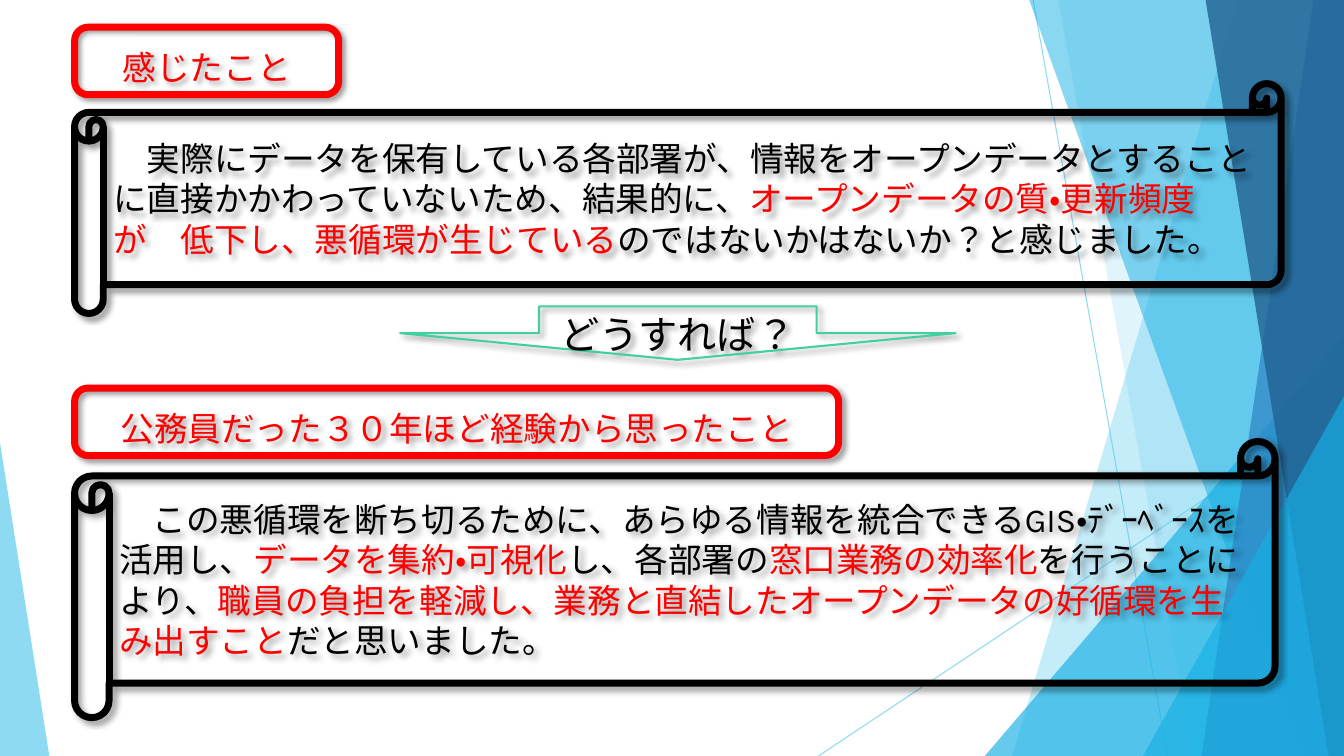
from dataclasses import dataclass
from itertools import cycle

from lxml.etree import SubElement
from pptx import Presentation
from pptx.dml.color import RGBColor
from pptx.enum.lang import MSO_LANGUAGE_ID
from pptx.enum.shapes import MSO_CONNECTOR, MSO_SHAPE
from pptx.enum.text import MSO_ANCHOR, PP_ALIGN
from pptx.oxml.ns import qn
from pptx.slide import Slide
from pptx.util import Emu, Inches, Pt

COLS, ROWS = 160, 90
WIDTH, HEIGHT = Inches(13.33), Inches(7.5)


@dataclass(frozen=True)
class Theme:
    sky: str = "5FCBEF"
    azure: str = "17B0E4"
    blue: str = "2E83C3"
    navy: str = "226292"
    mint: str = "42D0A2"
    ink: str = "000000"
    accent: str = "FF0000"
    text_font: str = "Karla"
    label_font: str = "Arial"
    text_size: int = 24
    arrow_size: int = 28
    hairline: float = 0.75
    thin: float = 1.5
    thick: float = 5


THEME = Theme()


@dataclass(frozen=True)
class Box:
    left: float
    top: float
    width: float
    height: float


@dataclass(frozen=True)
class Ray:
    x1: float
    y1: float
    x2: float
    y2: float


@dataclass(frozen=True)
class Pane:
    top: float
    bottom: float
    color: str
    alpha: int


@dataclass(frozen=True)
class Wedge:
    box: Box
    apex: float
    color: str
    alpha: int


@dataclass(frozen=True)
class Panel:
    kind: MSO_SHAPE
    box: Box
    line: str
    weight: float
    phrases: tuple[str, ...]
    colors: tuple[str, ...]
    font: str = THEME.label_font
    size: int = THEME.text_size
    centered: bool = True
    corner: float | None = None


RAYS = (Ray(123, 0, 139, 90), Ray(160, 48.36, 97.44, 90))

BACKDROP = (
    Pane(147.36, 120.48, THEME.sky, 36),
    Pane(126, 142, THEME.sky, 20),
    Wedge(Box(117.24, 39.96, 42.76, 50.04), 1, THEME.azure, 66),
    Pane(122.52, 154.92, THEME.azure, 50),
    Pane(156.36, 143.04, THEME.blue, 70),
    Pane(143.52, 158.16, THEME.navy, 80),
    Wedge(Box(136.08, 47.16, 23.92, 42.84), 1, THEME.azure, 66),
    Wedge(Box(0, 52.68, 5.88, 37.32), 0, THEME.sky, 70),
)


def scroll(box: Box, *phrases: str) -> Panel:
    return Panel(MSO_SHAPE.HORIZONTAL_SCROLL, box, THEME.ink, THEME.thick, phrases,
                 (THEME.ink, THEME.accent), font=THEME.text_font, centered=False)


def heading(box: Box, text: str) -> Panel:
    return Panel(MSO_SHAPE.ROUNDED_RECTANGLE, box, THEME.accent, THEME.thick, (text,),
                 (THEME.accent,), corner=0.2)


PANELS = (
    scroll(Box(8.88, 9.96, 143.64, 27.36),
           "　実際にデータを保有している各部署が、情報をオープンデータとすることに直接かかわっていないため、結果的に、",
           "オープンデータの質・更新頻度が　低下し、悪循環が生じている",
           "のではないかはないか？と感じました。"),
    scroll(Box(8.88, 52.56, 142.92, 32.88),
           "　この悪循環を断ち切るために、あらゆる情報を統合できるGIS・ﾃﾞｰﾍﾞｰｽを活用し、",
           "データを集約・可視化",
           "し、各部署の",
           "窓口業務の効率化",
           "を行うことにより、",
           "職員の負担を軽減し、業務と直結したオープンデータの好循環を生み出すこと",
           "だと思いました。"),
    Panel(MSO_SHAPE.DOWN_ARROW, Box(47.64, 36.48, 66.12, 6.36), THEME.mint, THEME.thin,
          ("どうすれば？",), (THEME.ink,), size=THEME.arrow_size),
    heading(Box(8.88, 3.24, 31.44, 8.04), "感じたこと"),
    heading(Box(8.88, 46.2, 90.96, 8.04), "公務員だった３０年ほど経験から思ったこと"),
)


def col(n: float) -> Emu:
    return Emu(round(WIDTH * n / COLS))


def row(n: float) -> Emu:
    return Emu(round(HEIGHT * n / ROWS))


def place(box: Box) -> tuple[Emu, Emu, Emu, Emu]:
    return col(box.left), row(box.top), col(box.width), row(box.height)


def set_alpha(holder, percent: int) -> None:
    color = holder.find(qn("a:solidFill"))[0]
    SubElement(color, qn("a:alpha"), val=str(percent * 1000))


def add_ray(s: Slide, ray: Ray) -> None:
    line = s.shapes.add_connector(MSO_CONNECTOR.STRAIGHT, col(ray.x1), row(ray.y1),
                                  col(ray.x2), row(ray.y2))
    line.line.width = Pt(THEME.hairline)
    line.line.color.rgb = RGBColor.from_string(THEME.sky)
    props = line._element.spPr
    set_alpha(props.find(qn("a:ln")), 70)
    SubElement(props, qn("a:effectLst"))


def add_backdrop(s: Slide, item: Pane | Wedge) -> None:
    if isinstance(item, Pane):
        builder = s.shapes.build_freeform(col(item.top), 0)
        builder.add_line_segments([(col(COLS), 0), (col(COLS), row(ROWS)),
                                   (col(item.bottom), row(ROWS))], close=True)
        sp = builder.convert_to_shape()
    else:
        sp = s.shapes.add_shape(MSO_SHAPE.ISOSCELES_TRIANGLE, *place(item.box))
        sp.adjustments[0] = item.apex
    sp.shadow.inherit = False
    sp.line.fill.background()
    sp.fill.solid()
    sp.fill.fore_color.rgb = RGBColor.from_string(item.color)
    set_alpha(sp._element.spPr, item.alpha)


def add_shadow(sp) -> None:
    sp.shadow.inherit = False
    effects = sp._element.spPr.find(qn("a:effectLst"))
    outer = SubElement(effects, qn("a:outerShdw"), blurRad=str(int(Pt(4))),
                       dist=str(int(Pt(3))), dir=str(45 * 60000), algn="tl", rotWithShape="0")
    color = SubElement(outer, qn("a:srgbClr"), val=THEME.ink)
    SubElement(color, qn("a:alpha"), val="40000")


def add_panel(s: Slide, panel: Panel) -> None:
    sp = s.shapes.add_shape(panel.kind, *place(panel.box))
    if panel.corner is not None:
        sp.adjustments[0] = panel.corner
    sp.fill.background()
    sp.line.color.rgb = RGBColor.from_string(panel.line)
    sp.line.width = Pt(panel.weight)
    add_shadow(sp)
    tf = sp.text_frame
    tf.word_wrap = True
    tf.vertical_anchor = MSO_ANCHOR.MIDDLE
    p = tf.paragraphs[0]
    p.alignment = PP_ALIGN.CENTER if panel.centered else PP_ALIGN.LEFT
    if panel.centered:
        p.line_spacing, p.space_after = 1.3, Pt(6)
    p.font.name, p.font.size = panel.font, Pt(panel.size)
    for text, color in zip(panel.phrases, cycle(panel.colors)):
        r = p.add_run()
        r.text = text
        r.font.language_id = MSO_LANGUAGE_ID.JAPANESE
        r.font.color.rgb = RGBColor.from_string(color)


def main() -> None:
    prs = Presentation()
    prs.slide_width, prs.slide_height = WIDTH, HEIGHT
    s = prs.slides.add_slide(prs.slide_layouts[6])
    for ray in RAYS:
        add_ray(s, ray)
    for item in BACKDROP:
        add_backdrop(s, item)
    for panel in PANELS:
        add_panel(s, panel)
    prs.save("out.pptx")


if __name__ == "__main__":
    main()
